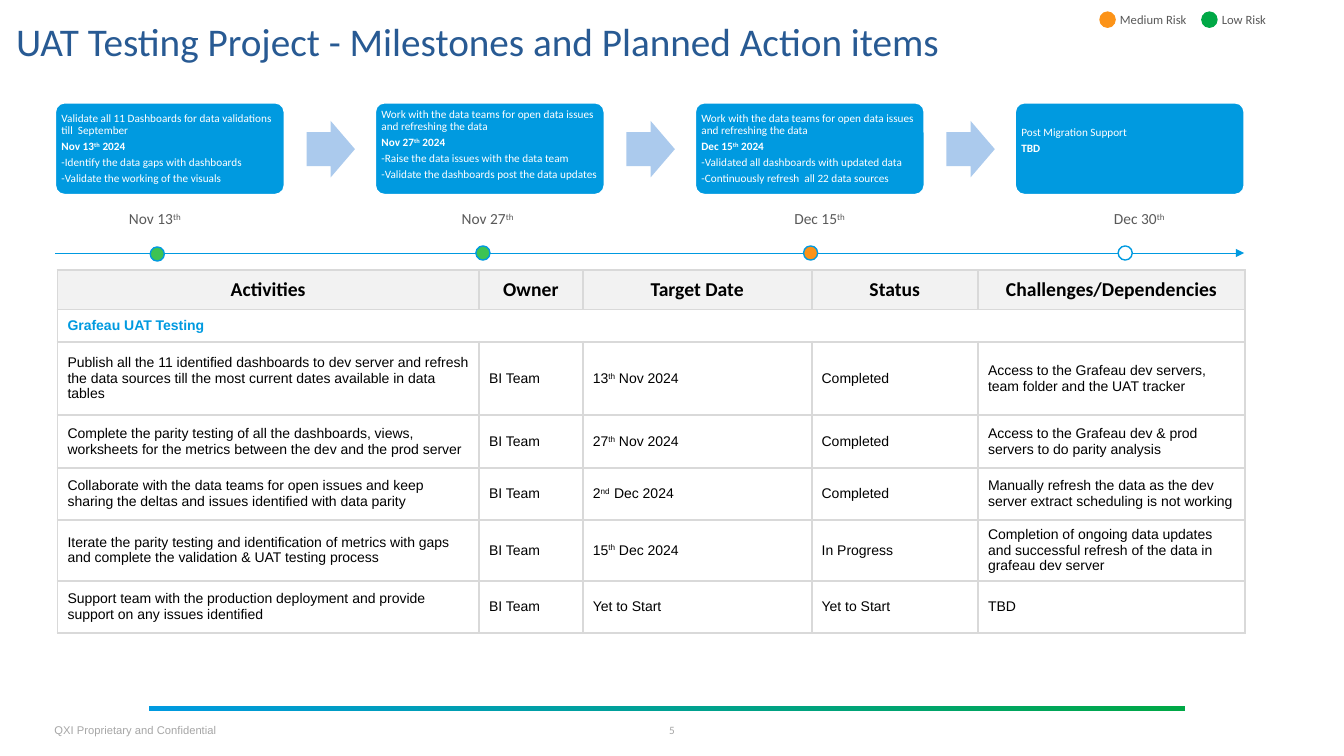
from pptx import Presentation
from pptx.dml.color import RGBColor
from pptx.enum.shapes import MSO_CONNECTOR as Conn, MSO_SHAPE as Form
from pptx.enum.text import MSO_ANCHOR as Anchor, PP_ALIGN as Align
from pptx.oxml import parse_xml
from pptx.oxml.ns import nsdecls
from pptx.util import Inches, Pt

BLUE = RGBColor(0x00, 0x9A, 0xE0)
NAVY = RGBColor(0x28, 0x5A, 0x93)
PALE = RGBColor(0xAB, 0xCA, 0xED)
GREEN = RGBColor(0x00, 0xA8, 0x46)
LIME = RGBColor(0x3D, 0xC3, 0x53)
AMBER = RGBColor(0xFC, 0x93, 0x18)
WHITE = RGBColor(0xFF, 0xFF, 0xFF)
BLACK = RGBColor(0, 0, 0)
GREY = RGBColor(0x59, 0x59, 0x59)
SILVER = RGBColor(0xA6, 0xA6, 0xA6)
CLOUD = RGBColor(0xF2, 0xF2, 0xF2)

# Text between carets is superscript; a leading asterisk makes a line bold.
OPEN = "Work with the data teams for open data issues and refreshing the data"
CARDS = [
    (["Validate all 11 Dashboards for data validations till  September",
      "*Nov 13^th^ 2024", "-Identify the data gaps with dashboards",
      "-Validate the working of the visuals"], Anchor.MIDDLE, 0.03),
    ([OPEN, "*Nov 27^th^ 2024", "-Raise the data issues with the data team",
      "-Validate the dashboards post the data updates"], Anchor.TOP, 0.03),
    ([OPEN, "*Dec 15^th^ 2024", "-Validated all dashboards with updated data",
      "-Continuously refresh  all 22 data sources"], Anchor.MIDDLE, 0.03),
    (["Post Migration Support", "*TBD"], Anchor.MIDDLE, 0.19),
]
DATES = [  # label, label left, dot left, dot top, dot colour
    ("Nov 13^th^", 0.63, 0.94, 0.42, LIME),
    ("Nov 27^th^", 3.93, 4.17, 0.41, LIME),
    ("Dec 15^th^", 7.23, 7.42, 0.41, AMBER),
    ("Dec 30^th^", 10.4, 10.54, 0.41, WHITE),
]
COLS = [4.18, 1.03, 2.27, 1.65, 2.65]
ROWS = [0.39, 0.32, 0.73, 0.52, 0.52, 0.57, 0.52]
HEADS = ["Activities", "Owner", "Target Date", "Status",
         "Challenges/Dependencies"]
TASKS = [
    ["Publish all the 11 identified dashboards to dev server and refresh the "
     "data sources till the most current dates available in data tables",
     "BI Team", "13^th^ Nov 2024", "Completed",
     "Access to the Grafeau dev servers, team folder and the UAT tracker"],
    ["Complete the parity testing of all the dashboards, views, worksheets "
     "for the metrics between the dev and the prod server",
     "BI Team", "27^th^ Nov 2024", "Completed",
     "Access to the Grafeau dev & prod servers to do parity analysis"],
    ["Collaborate with the data teams for open issues and keep sharing the "
     "deltas and issues identified with data parity",
     "BI Team", "2^nd  ^Dec 2024", "Completed",
     "Manually refresh the data as the dev server extract scheduling is not "
     "working"],
    ["Iterate the parity testing and identification of metrics with gaps and "
     "complete the validation & UAT testing process",
     "BI Team", "15^th^ Dec 2024", "In Progress",
     "Completion of ongoing data updates and successful refresh of the data "
     "in grafeau dev server"],
    ["Support team with the production deployment and provide support on any "
     "issues identified",
     "BI Team", "Yet to Start", "Yet to Start", "TBD"],
]


def put(obj, opts):
    for key, val in opts.items():
        setattr(obj, key, val)


def write(frame, lines, size, color, font="Calibri", **para):
    for num, line in enumerate(lines):
        par = frame.add_paragraph() if num else frame.paragraphs[0]
        put(par, para)
        bold = line.startswith("*")
        for part, words in enumerate(line.lstrip("*").split("^")):
            if not words:
                continue
            run = par.add_run()
            run.text = words
            put(run.font, {"size": Pt(size), "name": font, "bold": bold})
            run.font.color.rgb = color
            if part % 2:
                run.font._element.set("baseline", "30000")


def label(slide, box, lines, size, color, pads=(0.1, 0.05, 0.1, 0.05),
          anchor=Anchor.TOP, font="Calibri", **para):
    frame = slide.shapes.add_textbox(*map(Inches, box)).text_frame
    sides = ("left", "top", "right", "bottom")
    put(frame, {"margin_" + side: Inches(pad)
                for side, pad in zip(sides, pads)})
    put(frame, {"word_wrap": True, "vertical_anchor": anchor})
    write(frame, lines, size, color, font, **para)


def shape(slide, form, box, fill, line=None, adjust=()):
    item = slide.shapes.add_shape(form, *map(Inches, box))
    item.shadow.inherit = False
    item.fill.solid()
    item.fill.fore_color.rgb = fill
    if line is None:
        item.line.fill.background()
    else:
        item.line.color.rgb = line
        item.line.width = Pt(1)
    for num, val in enumerate(adjust):
        item.adjustments[num] = val
    return item


def header(slide, x, y, w, h):
    label(slide, (x, y, w, h),
          ["UAT Testing Project - Milestones and Planned Action items"],
          28, NAVY, (0, 0.2, 0, 0), Anchor.MIDDLE, line_spacing=0.8)


def legend(slide, x, y):
    for num, (name, color) in enumerate([("Medium Risk", AMBER),
                                         ("Low Risk", GREEN)]):
        left = x + num * 1.01
        shape(slide, Form.FLOWCHART_CONNECTOR, (left, y + 0.05, 0.15, 0.15),
              color, color)
        label(slide, (left + 0.1, y, 1.27, 0.25), [name], 9, GREY)


def cards(slide, x, y, w, h):
    wide = 2.27
    step = (w - wide) / (len(CARDS) - 1)
    for num, (lines, anchor, foot) in enumerate(CARDS):
        left = x + num * step
        shape(slide, Form.ROUNDED_RECTANGLE, (left, y, wide, h),
              BLUE, WHITE, [0.1])
        label(slide, (left + 0.03, y + 0.03, wide - 0.06, h - 0.05), lines,
              8, WHITE, (0.03, 0.03, 0.03, foot), anchor,
              line_spacing=0.9, space_after=Pt(2.8))
        if num < len(CARDS) - 1:
            shape(slide, Form.RIGHT_ARROW,
                  (left + wide + 0.22, y + 0.18, 0.48, 0.56),
                  PALE, adjust=[0.6, 0.5])


def timeline(slide, x, y, w):
    axis = slide.shapes.add_connector(
        Conn.STRAIGHT, *map(Inches, (x, y + 0.48, x + w, y + 0.48)))
    axis.line.color.rgb = BLUE
    axis.line.width = Pt(0.5)
    axis.line._get_or_add_ln().append(
        parse_xml(f'<a:tailEnd {nsdecls("a")} type="triangle"/>'))
    axis._element.spPr.append(parse_xml(f'<a:effectLst {nsdecls("a")}/>'))
    for date, left, dot, top, color in DATES:
        label(slide, (x + left, y, 0.8, 0.29), [date], 11, GREY)
        shape(slide, Form.OVAL, (x + dot, y + top, 0.14, 0.14), color, BLUE)


def cell_box(cell, fill):
    props = cell._tc.get_or_add_tcPr()
    for side in "LRTB":
        props.append(parse_xml(
            f'<a:ln{side} {nsdecls("a")} w="19050"><a:solidFill>'
            f'<a:srgbClr val="D9D9D9"/></a:solidFill></a:ln{side}>'))
    cell.fill.solid()
    cell.fill.fore_color.rgb = fill
    cell.vertical_anchor = Anchor.MIDDLE


def plan(slide, x, y):
    box = map(Inches, (x, y, sum(COLS), sum(ROWS)))
    grid = slide.shapes.add_table(len(ROWS), len(COLS), *box).table
    for col, wide in zip(grid.columns, COLS):
        col.width = Inches(wide)
    for row, high in zip(grid.rows, ROWS):
        row.height = Inches(high)
    for num, row in enumerate(grid.rows):
        for cell in row.cells:
            cell_box(cell, WHITE if num else CLOUD)
    for col, head in enumerate(HEADS):
        write(grid.cell(0, col).text_frame, ["*" + head], 14, BLACK,
              alignment=Align.CENTER)
    # Section row
    grid.cell(1, 0).merge(grid.cell(1, len(COLS) - 1))
    write(grid.cell(1, 0).text_frame, ["*Grafeau UAT Testing"],
          10, BLUE, "Arial")
    for row, task in enumerate(TASKS, 2):
        for col, words in enumerate(task):
            write(grid.cell(row, col).text_frame, [words], 10, BLACK, "Arial")


def footer(slide, x, y):
    bar = shape(slide, Form.RECTANGLE, (x + 0.94, y, 10.27, 0.05), BLUE)
    bar.fill.gradient()
    bar.fill.gradient_angle = 0
    for stop, color, spot in zip(bar.fill.gradient_stops, (BLUE, GREEN),
                                 (0, 1)):
        stop.color.rgb = color
        stop.position = spot
    flat = (0, 0, 0, 0)
    label(slide, (x, y + 0.13, 1.8, 0.23),
          ["QXI Proprietary and Confidential"], 8, SILVER, flat,
          Anchor.MIDDLE, "Arial")
    label(slide, (x + 5.94, y + 0.13, 0.37, 0.23), ["5"], 8, SILVER, flat,
          Anchor.MIDDLE, alignment=Align.CENTER)


def main():
    deck = Presentation()
    put(deck, {"slide_width": Inches(13.33), "slide_height": Inches(7.5)})
    slide = deck.slides.add_slide(deck.slide_layouts[6])
    footer(slide, 0.54, 7)
    header(slide, 0.16, 0.09, 12.61, 0.51)
    cards(slide, 0.55, 1.02, 11.79, 0.91)
    timeline(slide, 0.55, 2.03, 11.79)
    plan(slide, 0.57, 2.68)
    legend(slide, 10.91, 0.07)
    deck.save("out.pptx")


if __name__ == "__main__":
    main()
